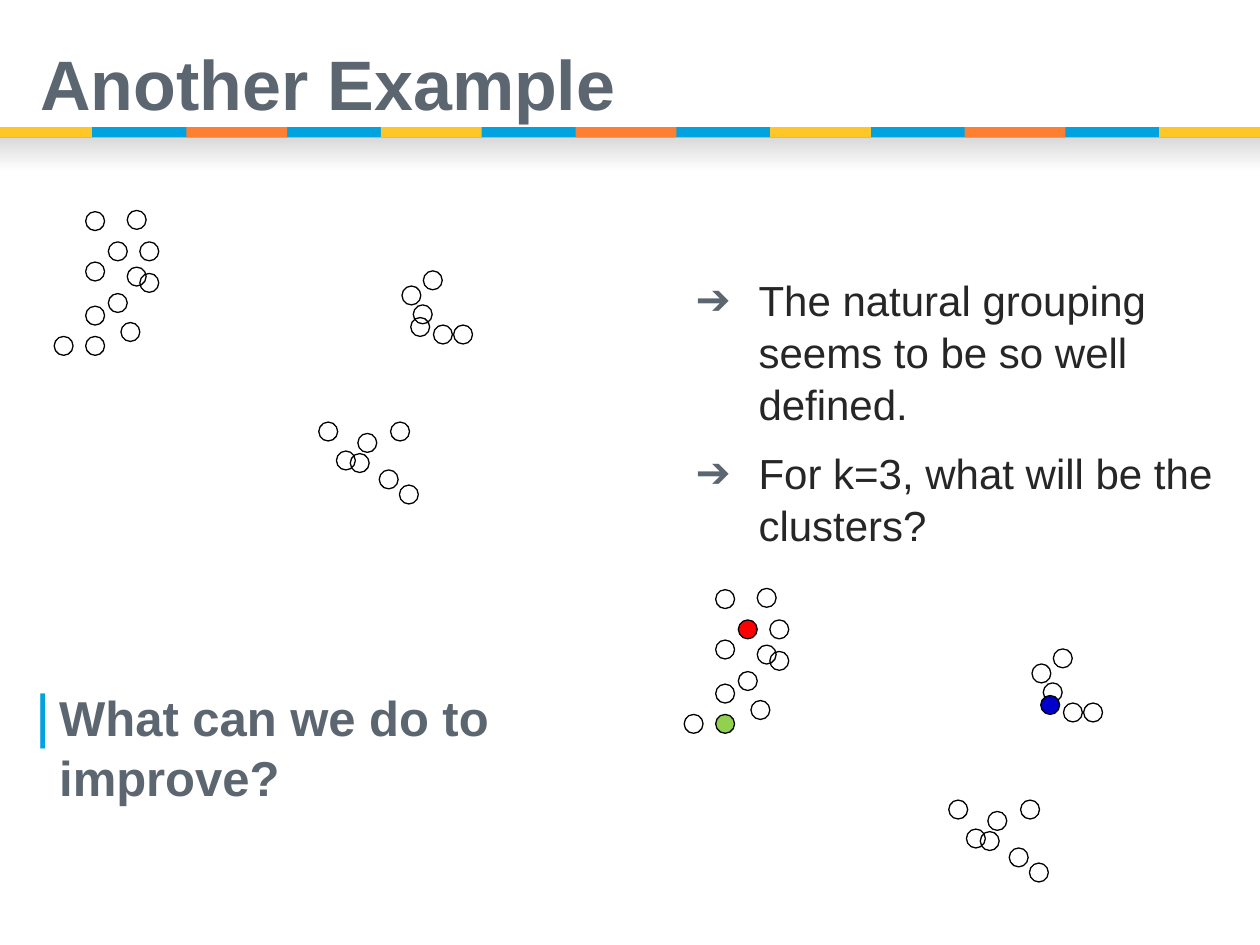
from lxml.etree import SubElement
from pptx import Presentation
from pptx.dml.color import RGBColor
from pptx.enum.shapes import MSO_SHAPE
from pptx.enum.text import MSO_ANCHOR, MSO_AUTO_SIZE, PP_ALIGN
from pptx.oxml.ns import qn
from pptx.util import Inches, Pt

COLORS = {
    "blue": "00A2E0", "yellow": "FFC627", "orange": "FF7F32",
    "slate": "5C6670", "text": "262626", "black": "000000",
    "shade": "D9D9D9", "white": "FFFFFF",
    "red": "FF0000", "navy": "0000CC", "green": "92D050",
}


def rgb(name):
    return RGBColor.from_string(COLORS[name])


def add_shape(shapes, kind, box, fill=None, line=None):
    sp = shapes.add_shape(kind, *[Inches(v) for v in box])
    sp.shadow.inherit = False
    if fill:
        sp.fill.solid()
        sp.fill.fore_color.rgb = rgb(fill)
    else:
        sp.fill.background()
    if line:
        sp.line.color.rgb = rgb(line)
        sp.line.width = Pt(0.75)
    else:
        sp.line.fill.background()
    return sp


prs = Presentation()
prs.slide_width, prs.slide_height = Inches(10), Inches(7.5)
s = prs.slides.add_slide(prs.slide_layouts.get_by_name("Two Content"))

# Soft shade and striped band under the title
shade = add_shape(s.shapes, MSO_SHAPE.RECTANGLE, (0, 1.09, 10, 0.27))
shade.fill.gradient()
shade.fill.gradient_angle = 270
for stop, name, place in zip(shade.fill.gradient_stops, ("shade", "white"), (0, 1)):
    stop.color.rgb = rgb(name)
    stop.position = place

band = s.shapes.add_group_shape()
add_shape(band.shapes, MSO_SHAPE.RECTANGLE, (0, 1.01, 10, 0.08), "blue")
for i in range(7):
    left = max(0, 9.2 - 1.544 * (6 - i))
    width = 0.8 if i else 0.73
    add_shape(band.shapes, MSO_SHAPE.RECTANGLE, (left, 1.01, width, 0.08),
              "orange" if i % 2 else "yellow")

# Title and the two text columns: box, text, size, colour, bold, indents, bullet
title, question, points = s.placeholders
blocks = [
    (title, (0.22, 0.21, 8.62, 0.97), ["Another Example"],
     40, "slate", True, 0.9, None),
    (question, (0.21, 5.4, 4.6, 1.2), ["What can we do to improve?"],
     28, "slate", True, 1.03, ("|", "blue", 120, 0.19, 0.19)),
    (points, (4.91, 2.13, 4.83, 2.3),
     ["The natural grouping seems to be so well defined.",
      "For k=3, what will be the clusters?"],
     24, "text", False, 1.03, ("\u2794", "slate", 100, 1.04, 0.5)),
]
for ph, box, lines, size, color, bold, spacing, bullet in blocks:
    ph.left, ph.top, ph.width, ph.height = [Inches(v) for v in box]
    tf = ph.text_frame
    tf.text = "\n".join(lines)
    tf.word_wrap = True
    tf.auto_size = MSO_AUTO_SIZE.NONE
    tf.vertical_anchor = MSO_ANCHOR.TOP if bullet else MSO_ANCHOR.MIDDLE
    if bullet:
        tf.margin_left = tf.margin_right = Inches(0.07)
        tf.margin_top = tf.margin_bottom = Inches(0.04)
    for i, p in enumerate(tf.paragraphs):
        p.alignment = PP_ALIGN.LEFT
        p.line_spacing = spacing
        p.space_before = Pt(3.8 if i else 0)
        p.space_after = Pt(6 if bullet else 0)
        r = p.runs[0]
        r.font.name, r.font.size, r.font.bold = "Arial", Pt(size), bold
        r.font.color.rgb = rgb(color)
        if bullet:
            char, bullet_color, percent, margin, hanging = bullet
            pPr = p._p.get_or_add_pPr()
            pPr.set("marL", str(Inches(margin)))
            pPr.set("indent", str(-Inches(hanging)))
            SubElement(SubElement(pPr, qn("a:buClr")), qn("a:srgbClr"),
                       val=COLORS[bullet_color])
            SubElement(pPr, qn("a:buSzPct"), val=str(percent * 1000))
            SubElement(pPr, qn("a:buFont"), typeface="Arial")
            SubElement(pPr, qn("a:buChar"), char=char)

# Data points, drawn plain and again with the three chosen seeds
DOTS = [
    (3.19, 2.27), (1.11, 1.92), (0.68, 1.68), (1.01, 1.67), (3.28, 2.42),
    (2.78, 3.6), (0.86, 1.92), (3.1, 3.35), (3.6, 2.58), (2.84, 3.44),
    (3.01, 3.73), (3.17, 3.85), (2.67, 3.58), (3.36, 2.15), (3.44, 2.58),
    (3.26, 2.52), (0.68, 2.43), (0.96, 2.56), (2.53, 3.35), (1.11, 2.17),
    (0.68, 2.08), (1.01, 2.12), (0.86, 2.33), (0.68, 2.67), (0.43, 2.67),
]
SEEDS = {(0.86, 1.92): "red", (3.26, 2.52): "navy", (0.68, 2.67): "green"}
for dx, dy, seeds in ((0, 0, {}), (5, 3, SEEDS)):
    scatter = s.shapes.add_group_shape()
    for x, y in DOTS:
        add_shape(scatter.shapes, MSO_SHAPE.OVAL, (x + dx, y + dy, 0.15, 0.15),
                  seeds.get((x, y)), "black")

prs.save("out.pptx")
